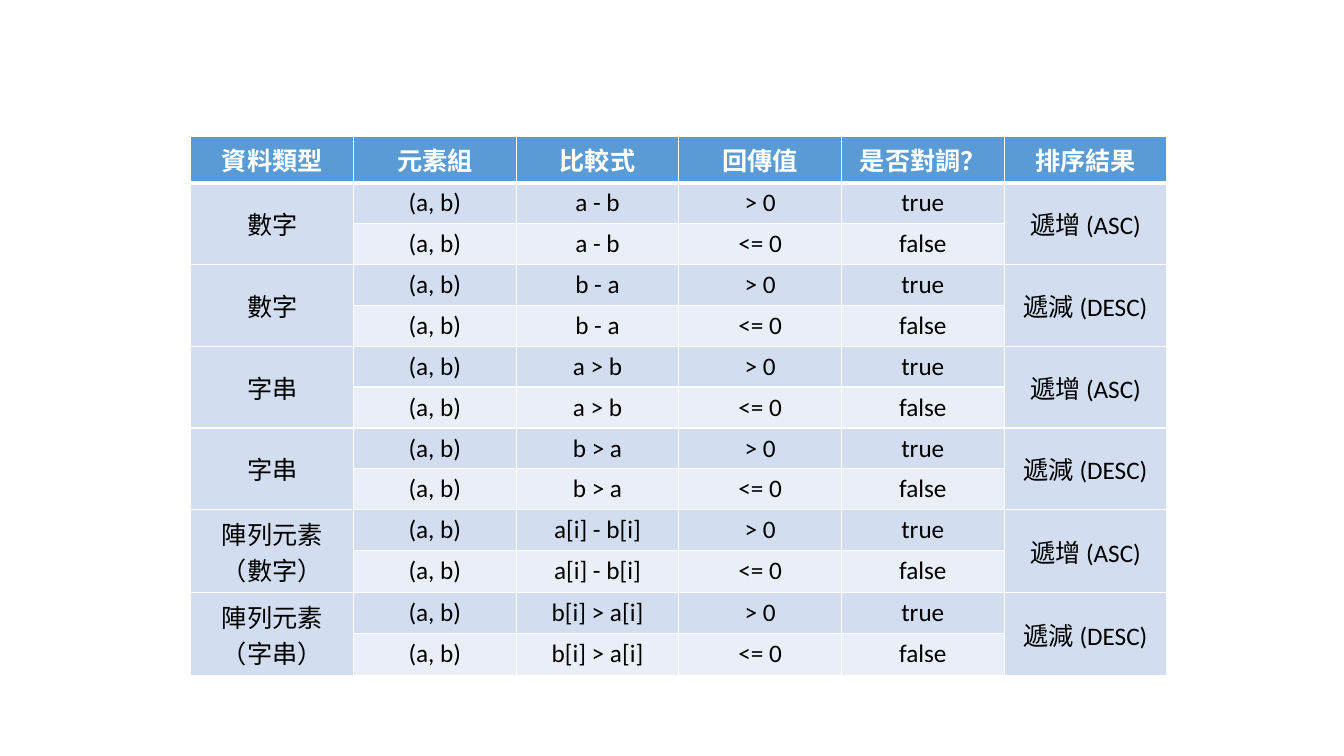
from dataclasses import dataclass

from lxml import etree
from pptx import Presentation
from pptx.dml.color import RGBColor
from pptx.enum.text import MSO_ANCHOR, PP_ALIGN
from pptx.oxml.ns import qn
from pptx.util import Cm, Pt

CENTER = PP_ALIGN.CENTER
TOP, MIDDLE = MSO_ANCHOR.TOP, MSO_ANCHOR.MIDDLE


@dataclass(frozen=True)
class Theme:
    font: str = "Calibri"
    size: int = 18
    header: str = "5B9BD5"
    dark_band: str = "D2DEEF"
    light_band: str = "EAEFF7"
    border: str = "FFFFFF"
    header_text: str = "FFFFFF"
    body_text: str = "000000"
    thin: int = 1
    thick: int = 3


HEADERS = ["資料類型", "元素組", "比較式", "回傳值", "是否對調？", "排序結果"]
ASC, DESC = "遞增 (ASC)", "遞減 (DESC)"
# Data type, comparison, sort order
SORTS = [
    ("數字", "a - b", ASC),
    ("數字", "b - a", DESC),
    ("字串", "a > b", ASC),
    ("字串", "b > a", DESC),
    ("陣列元素\n（數字）", "a[i] - b[i]", ASC),
    ("陣列元素\n（字串）", "b[i] > a[i]", DESC),
]
OUTCOMES = [("> 0", "true"), ("<= 0", "false")]


class SlideBuilder:
    def __init__(self, slide, theme):
        self.s = slide
        self.theme = theme

    def table(self, left, top, col_width, row_height, rows, cols):
        frame = self.s.shapes.add_table(
            rows, cols, Cm(left), Cm(top), Cm(col_width * cols), Cm(row_height * rows))
        table = frame.table
        table.horz_banding = False
        for col in table.columns:
            col.width = Cm(col_width)
        for row in table.rows:
            row.height = Cm(row_height)
        return table

    def borders(self, cell, **widths):
        """Draw the four sides; widths are points by side tag (L, R, T, B)."""
        tc_pr = cell._tc.get_or_add_tcPr()
        for side in "LRTB":
            width = Pt(widths.get(side, self.theme.thin))
            ln = etree.SubElement(tc_pr, qn(f"a:ln{side}"), w=str(width))
            fill = etree.SubElement(ln, qn("a:solidFill"))
            etree.SubElement(fill, qn("a:srgbClr"), val=self.theme.border)

    def cell(self, cell, text, fill, color, bold=False, anchor=TOP, **widths):
        self.borders(cell, **widths)
        cell.fill.solid()
        cell.fill.fore_color.rgb = RGBColor.from_string(fill)
        cell.vertical_anchor = anchor
        cell.text = text
        for p in cell.text_frame.paragraphs:
            p.alignment = CENTER
            p.font.name = self.theme.font
            p.font.size = Pt(self.theme.size)
            p.font.bold = bold
            p.font.color.rgb = RGBColor.from_string(color)

    def sort_table(self, left, top, col_width, row_height):
        """Header row, then two outcome rows for each sort with merged outer cells."""
        t = self.theme
        step = len(OUTCOMES)
        last = len(HEADERS) - 1
        table = self.table(left, top, col_width, row_height,
                           1 + step * len(SORTS), len(HEADERS))
        for c, text in enumerate(HEADERS):
            self.cell(table.cell(0, c), text, t.header, t.header_text, True, B=t.thick)
        for i, (kind, comparison, order) in enumerate(SORTS):
            first = 1 + i * step
            for k, (value, swap) in enumerate(OUTCOMES):
                band = t.light_band if k else t.dark_band
                outer = ("", "") if k else (kind, order)
                texts = (outer[0], "(a, b)", comparison, value, swap, outer[1])
                for c, text in enumerate(texts):
                    merged = c in (0, last)
                    self.cell(table.cell(first + k, c), text,
                              t.dark_band if merged else band, t.body_text,
                              anchor=MIDDLE if merged else TOP,
                              T=t.thick if first + k == 1 else t.thin)
            for c in (0, last):
                table.cell(first, c).merge(table.cell(first + step - 1, c))


def main():
    prs = Presentation()
    prs.slide_width, prs.slide_height = Cm(33.87), Cm(19.05)
    slide = prs.slides.add_slide(prs.slide_layouts[6])
    SlideBuilder(slide, Theme()).sort_table(4.81, 3.43, 4.1, 1)
    prs.save("out.pptx")


if __name__ == "__main__":
    main()
